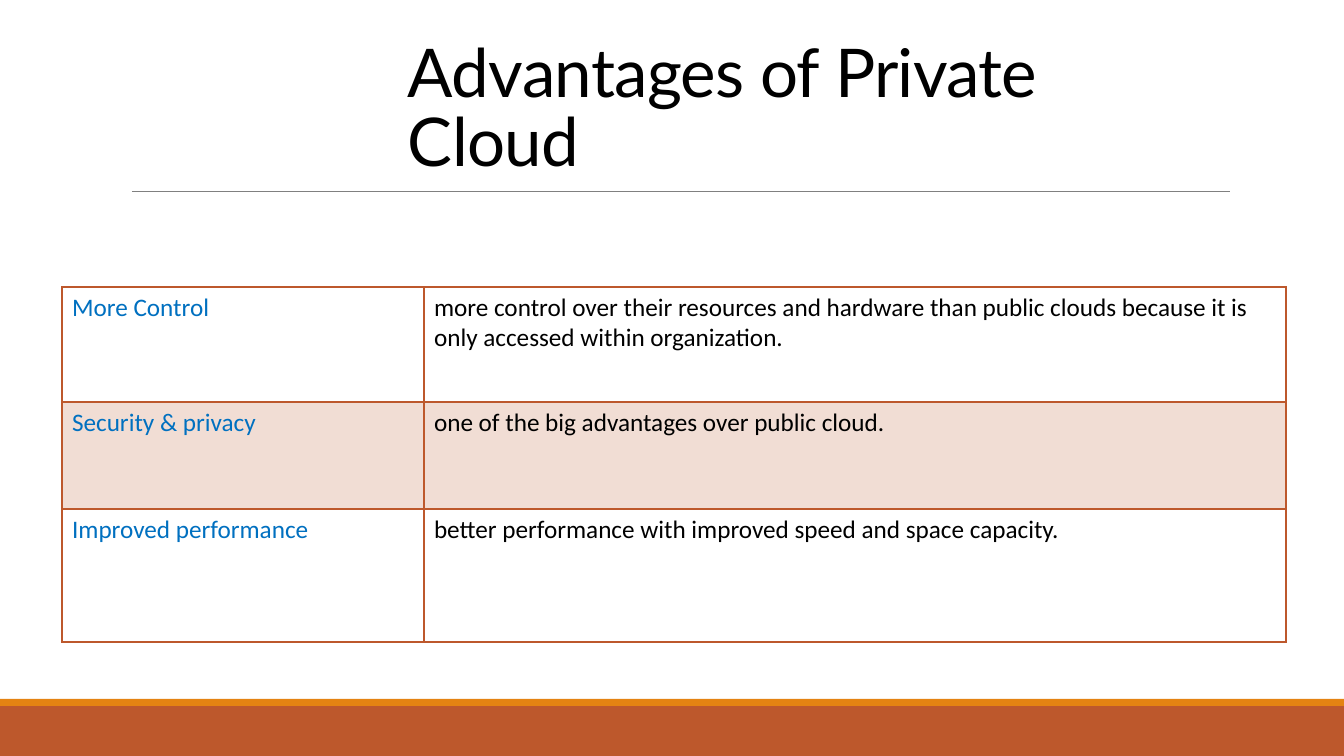
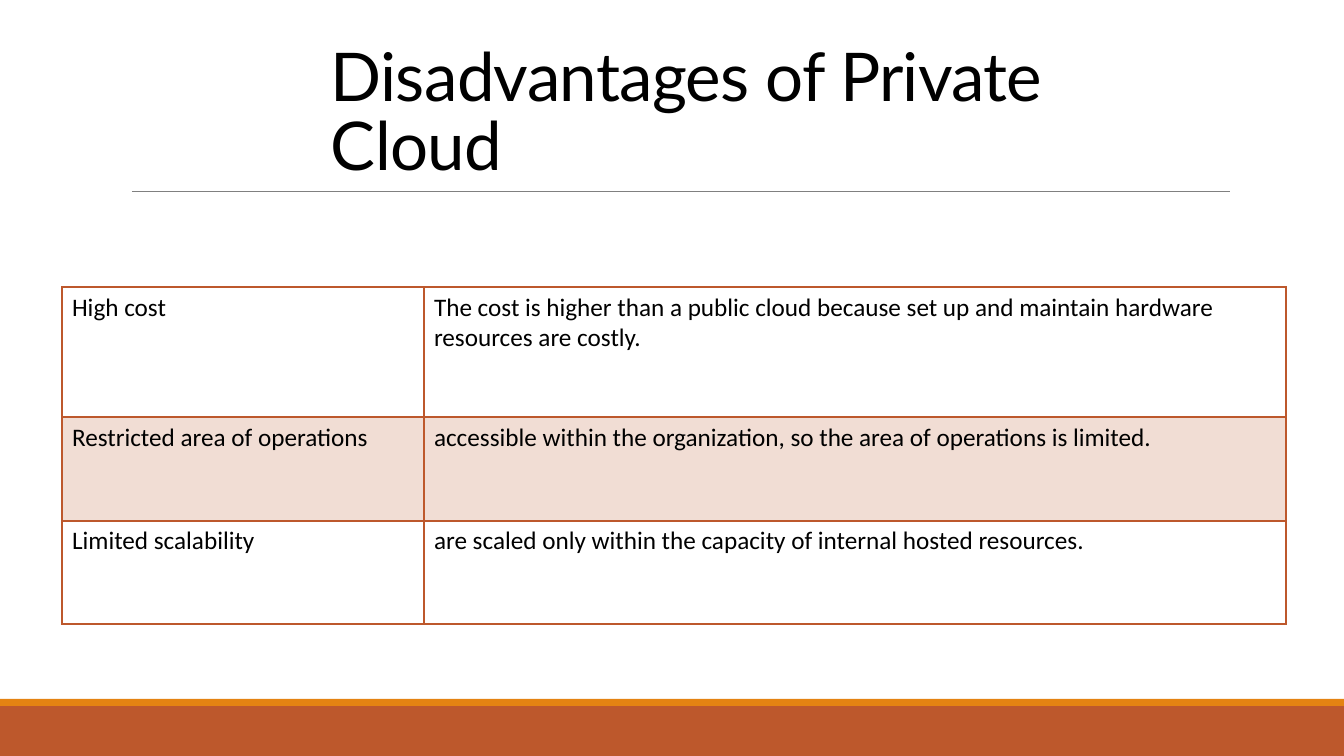
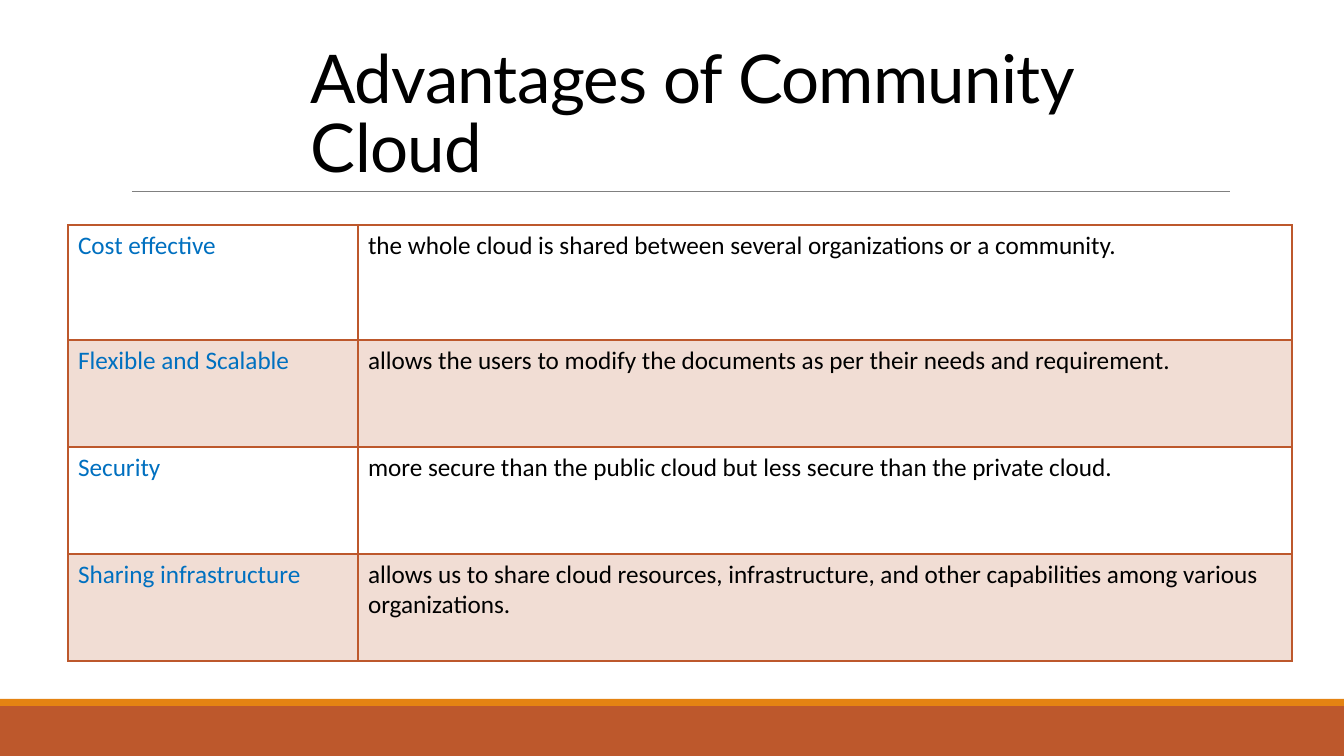
from lxml import etree
from pptx import Presentation
from pptx.dml.color import RGBColor
from pptx.enum import shapes, text
from pptx.oxml import ns
from pptx.util import Emu, Pt

WIDTH, HEIGHT = 1344, 756
SCALE = 12192000 / WIDTH
RUST, ORANGE, GRAY = "BD582C", "E48312", "808080"
BLACK, BLUE = "000000", "0070C0"
TABLE_LEFT, TABLE_TOP = 62, 287
WIDE_COLUMNS = (362, 862)

PAGES = [
    {
        "title": "Advantages of Private Cloud",
        "title_at": (398, 25, 757, 160),
        "table_at": (TABLE_LEFT, TABLE_TOP),
        "columns": WIDE_COLUMNS,
        "heights": (115, 107, 133),
        "label_color": BLUE,
        "rows": [
            ("More Control",
             "more control over their resources and hardware than public clouds "
             "because it is only accessed within organization."),
            ("Security & privacy", "one of the big advantages over public cloud."),
            ("Improved performance",
             "better performance with improved speed and space capacity."),
        ],
    },
    {
        "title": "Disadvantages of Private Cloud",
        "title_at": (321, 29, 763, 160),
        "table_at": (TABLE_LEFT, TABLE_TOP),
        "columns": WIDE_COLUMNS,
        "heights": (130, 104, 103),
        "label_color": BLACK,
        "rows": [
            ("High cost",
             "The cost is higher than a public cloud because set up and maintain "
             "hardware resources are costly."),
            ("Restricted area of operations",
             "accessible within the organization, so the area of operations is limited."),
            ("Limited scalability",
             "are scaled only within the capacity of internal hosted resources."),
        ],
    },
    {
        "title": "Advantages of Community Cloud",
        "title_at": (301, 41, 786, 150),
        "table_at": (68, 225),
        "columns": (290, 934),
        "heights": (115, 107, 107, 107),
        "label_color": BLUE,
        "rows": [
            ("Cost effective",
             "the whole cloud is shared between several organizations or a community."),
            ("Flexible and Scalable",
             "allows the users to modify the documents as per their needs and requirement."),
            ("Security",
             "more secure than the public cloud but less secure than the private cloud."),
            ("Sharing infrastructure",
             "allows us to share cloud resources, infrastructure, and other "
             "capabilities among various organizations."),
        ],
    },
]


def px(*lengths):
    return [Emu(round(length * SCALE)) for length in lengths]


def color(value):
    return RGBColor.from_string(value)


def write(paragraph, words, font, size, ink):
    span = paragraph.add_run()
    span.text = words
    paragraph.font.name = font
    paragraph.font.size = Pt(size)
    paragraph.font.color.rgb = color(ink)
    return span


def add_band(page, top, height, fill):
    band = page.shapes.add_shape(
        shapes.MSO_SHAPE.RECTANGLE, *px(0, top, WIDTH, height))
    band.shadow.inherit = False
    band.fill.solid()
    band.fill.fore_color.rgb = color(fill)
    band.line.fill.background()


def add_rule(page, left, right, top):
    rule = page.shapes.add_connector(
        shapes.MSO_CONNECTOR.STRAIGHT, *px(left, top, right, top))
    rule.line.color.rgb = color(GRAY)
    rule.line.width = Pt(0.5)
    etree.SubElement(rule._element.spPr, ns.qn("a:effectLst"))


def add_frame(page):
    add_band(page, 706, 50, RUST)
    add_band(page, 699, 7, ORANGE)
    add_rule(page, 132, 1230, 191)


def add_title(page, words, place):
    box = page.shapes.add_textbox(*px(*place))
    box.text_frame.word_wrap = True
    box.text_frame.vertical_anchor = text.MSO_ANCHOR.BOTTOM
    para = box.text_frame.paragraphs[0]
    para.line_spacing = 0.85
    span = write(para, words, "Lato", 48, BLACK)
    span._r.get_or_add_rPr().set("spc", "-50")


def add_border(cell, side, points):
    line = etree.SubElement(
        cell._tc.get_or_add_tcPr(), ns.qn("a:ln" + side), w=str(Pt(points)))
    fill = etree.SubElement(line, ns.qn("a:solidFill"))
    etree.SubElement(fill, ns.qn("a:srgbClr"), val=RUST)


def style_cell(cell, row):
    for side in "LRTB":
        thick = (row, side) in ((0, "B"), (1, "T"))
        add_border(cell, side, 2 if thick else 1)
    if row % 2 == 0:
        cell.fill.background()
        return
    cell.fill.solid()
    cell.fill.fore_color.rgb = color(RUST)
    tint = cell._tc.tcPr.find(ns.qn("a:solidFill"))[0]
    etree.SubElement(tint, ns.qn("a:alpha"), val="20000")


def add_table(page, place, columns, heights, rows, label_color):
    size = (sum(columns), sum(heights))
    table = page.shapes.add_table(
        len(rows), len(columns), *px(*place, *size)).table
    table.first_row = False
    table.horz_banding = False
    for column, width in zip(table.columns, px(*columns)):
        column.width = width
    for row, height in zip(table.rows, px(*heights)):
        row.height = height
    for row, entries in enumerate(rows):
        for column, (words, ink) in enumerate(zip(entries, (label_color, BLACK))):
            cell = table.cell(row, column)
            style_cell(cell, row)
            write(cell.text_frame.paragraphs[0], words, "Calibri", 18, ink)


def main():
    deck = Presentation()
    deck.slide_width, deck.slide_height = px(WIDTH, HEIGHT)
    for content in PAGES:
        page = deck.slides.add_slide(deck.slide_layouts[6])
        add_frame(page)
        add_title(page, content["title"], content["title_at"])
        add_table(page, content["table_at"], content["columns"],
                  content["heights"], content["rows"], content["label_color"])
    deck.save("out.pptx")


if __name__ == "__main__":
    main()
